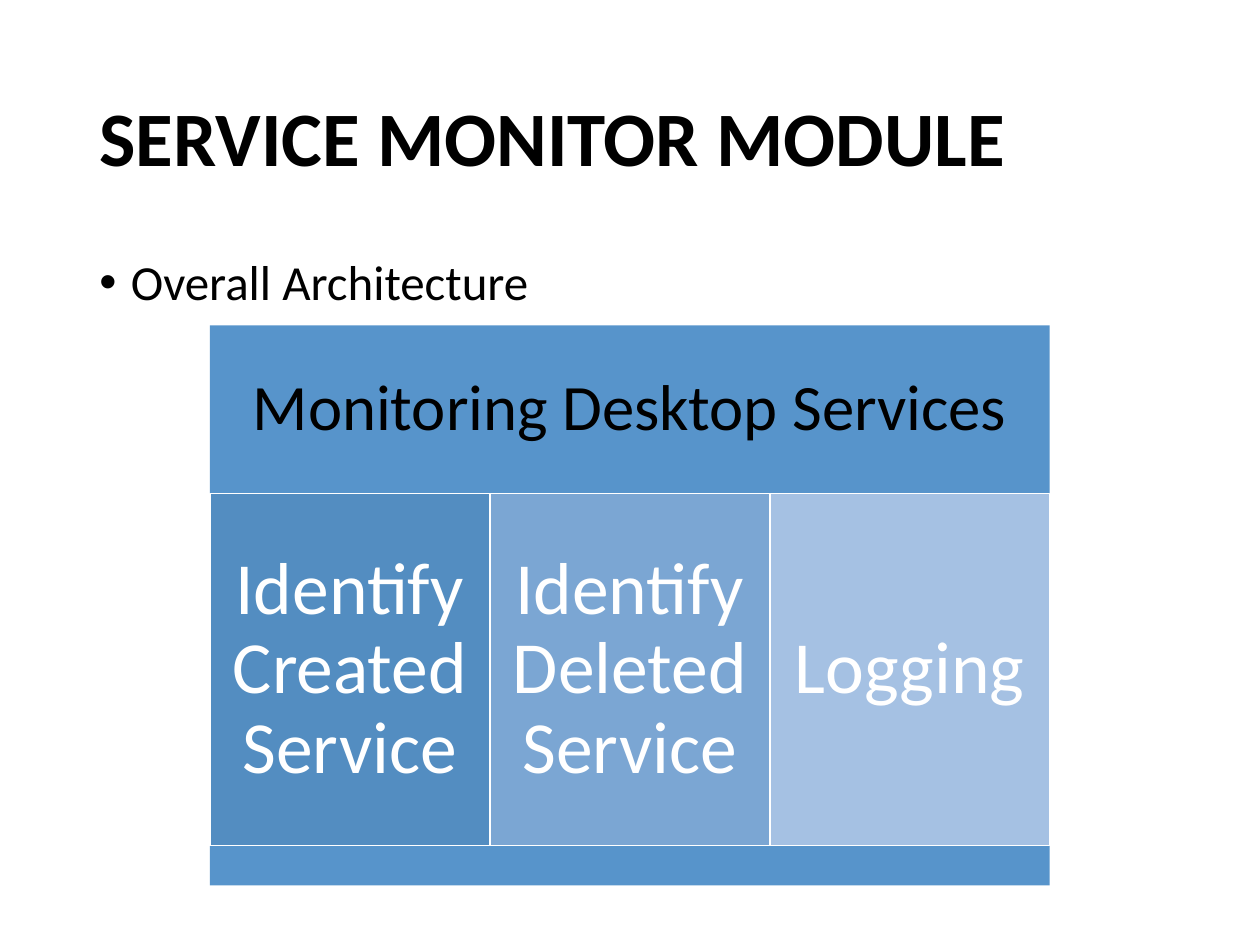
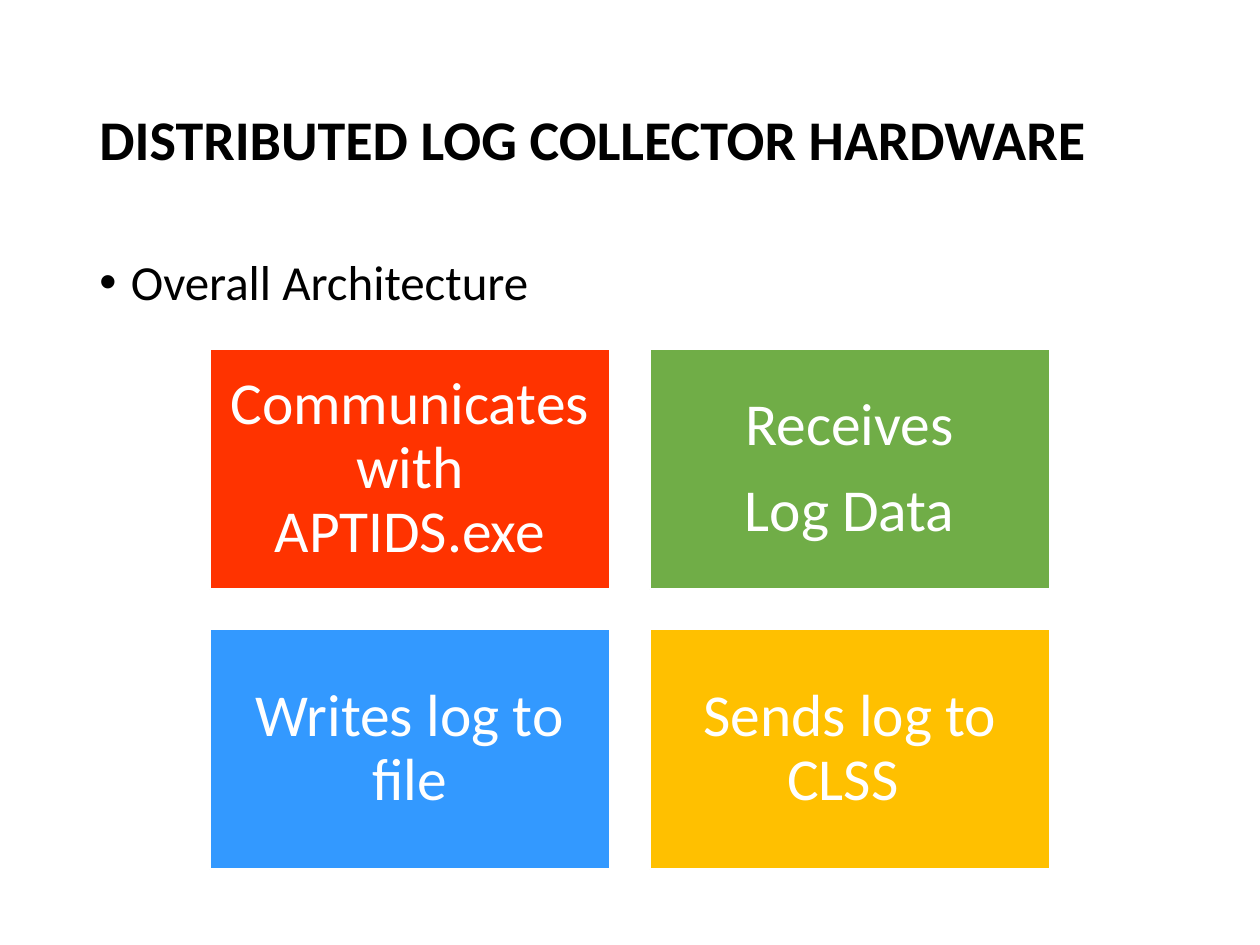
import pptx
import pptx.dml.color
import pptx.enum.shapes
import pptx.enum.text
import pptx.util

Cm = pptx.util.Cm
Pt = pptx.util.Pt
ALIGN = pptx.enum.text.PP_ALIGN
ANCHOR = pptx.enum.text.MSO_ANCHOR

FONT = "Calibri"
BLACK, WHITE = "000000", "FFFFFF"
BAND_BLUE = "5794CB"

# Boxes in centimetres: left, top, width, height
TITLE_BOX = (1.75, 1.02, 21.9, 3.68)
BODY_BOX = (1.75, 5.08, 21.9, 12.09)
PILLAR_BOX = (4.23, 6.56, 16.93, 11.29)
TILE_BOX = (4.23, 7.04, 16.93, 10.49)


def color(value):
    return pptx.dml.color.RGBColor.from_string(value)


def apply(target, values):
    for name, value in values.items():
        setattr(target, name, value)


def place(shape, box):
    names = ("left", "top", "width", "height")
    apply(shape, {name: Cm(length) for name, length in zip(names, box)})


def write(shape, text, size, ink, paragraph_format, bold=False):
    """Fill the shape with text, one paragraph for each line."""
    frame = shape.text_frame
    apply(frame, {"text": text, "word_wrap": True,
                  "auto_size": pptx.enum.text.MSO_AUTO_SIZE.NONE})
    for paragraph in frame.paragraphs:
        apply(paragraph, {"line_spacing": 0.9, **paragraph_format})
        for run in paragraph.runs:
            apply(run.font, {"name": FONT, "size": Pt(size), "bold": bold})
            run.font.color.rgb = color(ink)


def add_block(slide, box, fill, text="", size=34, ink=WHITE, margin=0.36, outlined=True):
    """Draw a filled rectangle with centred text."""
    block = slide.shapes.add_shape(
        pptx.enum.shapes.MSO_SHAPE.RECTANGLE, *(Cm(length) for length in box))
    block.shadow.inherit = False
    block.fill.solid()
    block.fill.fore_color.rgb = color(fill)
    if outlined:
        block.line.color.rgb = color(WHITE)
        block.line.width = Pt(1)
    else:
        block.line.fill.background()
    if text:
        sides = ("left", "top", "right", "bottom")
        apply(block.text_frame, {f"margin_{side}": Cm(margin) for side in sides})
        block.text_frame.vertical_anchor = ANCHOR.MIDDLE
        write(block, text, size, ink,
              {"alignment": ALIGN.CENTER, "space_after": Pt(round(size * 0.35))})


def add_architecture_slide(presentation, title, title_size):
    """Add a slide with the shared heading and opening bullet."""
    slide = presentation.slides.add_slide(presentation.slide_layouts[1])
    heading, body = slide.shapes.title, slide.placeholders[1]

    place(heading, TITLE_BOX)
    heading.text_frame.vertical_anchor = ANCHOR.MIDDLE
    write(heading, title, title_size, BLACK, {"alignment": ALIGN.LEFT}, bold=True)

    place(body, BODY_BOX)
    write(body, "Overall Architecture", 28, BLACK, {"space_before": Pt(10)})
    properties = body.text_frame.paragraphs[0]._p.get_or_add_pPr()
    indent = Pt(18)
    properties.set("marL", str(indent))
    properties.set("indent", str(-indent))
    return slide


def draw_pillars(slide, box, header, pillars):
    """Draw a header band, equal pillars below it and a base band."""
    left, top, width, height = box
    header_height, pillar_height = height * 0.3, height * 0.63
    pillar_top = top + header_height
    base_top = pillar_top + pillar_height
    pillar_width = width / len(pillars)

    add_block(slide, (left, top, width, header_height), BAND_BLUE,
              header, 37, BLACK, 0.38, outlined=False)
    for index, (text, fill) in enumerate(pillars):
        pillar = (left + index * pillar_width, pillar_top, pillar_width, pillar_height)
        add_block(slide, pillar, fill, text, 42, margin=0.42)
    add_block(slide, (left, base_top, width, height * 0.07), BAND_BLUE, outlined=False)


def draw_tiles(slide, box, tiles, columns=2):
    """Draw tiles in a grid whose gap is a tenth of a tile's width."""
    left, top, width, _ = box
    tile_width = width / (columns + 0.1 * (columns - 1))
    tile_height = tile_width * 0.6
    gap = tile_width * 0.1
    for index, (text, fill) in enumerate(tiles):
        row, column = divmod(index, columns)
        tile = (left + column * (tile_width + gap), top + row * (tile_height + gap),
                tile_width, tile_height)
        add_block(slide, tile, fill, text)


def main():
    presentation = pptx.Presentation()
    apply(presentation, {"slide_width": Cm(25.4), "slide_height": Cm(19.05)})

    # Service monitor
    slide = add_architecture_slide(presentation, "SERVICE MONITOR MODULE", 44)
    draw_pillars(slide, PILLAR_BOX, "Monitoring Desktop Services", [
        ("Identify Created Service", "538DC1"),
        ("Identify Deleted Service", "7BA6D3"),
        ("Logging", "A5C1E3"),
    ])

    # Log collector
    slide = add_architecture_slide(presentation, "DISTRIBUTED LOG COLLECTOR HARDWARE", 32)
    draw_tiles(slide, TILE_BOX, [
        ("Communicates with APTIDS.exe", "FF3300"),
        ("Receives\nLog Data", "70AD47"),
        ("Writes log to file", "3399FF"),
        ("Sends log to CLSS ", "FFC000"),
    ])

    presentation.save("out.pptx")


if __name__ == "__main__":
    main()
